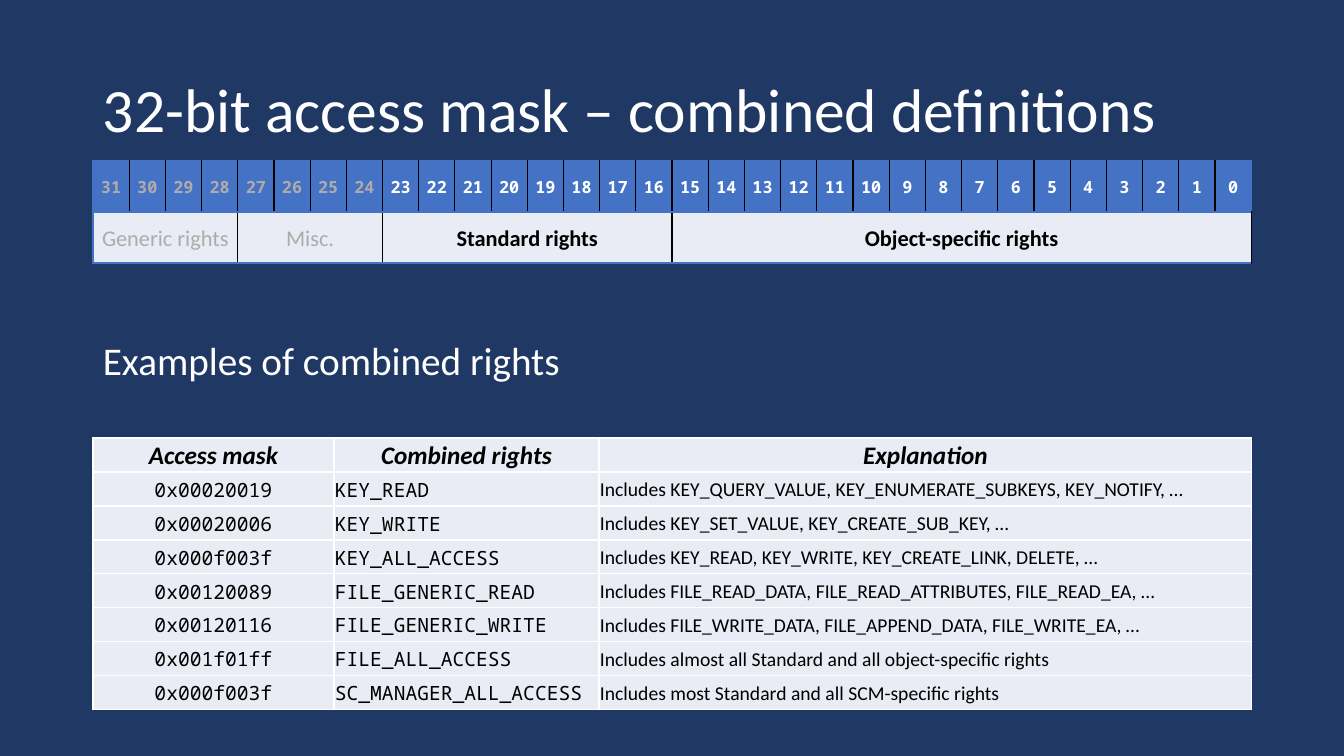
from dataclasses import dataclass
from lxml.etree import SubElement as Sub
from pptx import Presentation
from pptx.dml.color import RGBColor as Rgb
from pptx.enum.text import MSO_ANCHOR as Anchor, PP_ALIGN as Align
from pptx.oxml.ns import qn
from pptx.util import Pt

TITLE = "32-bit access mask – combined definitions"
LEAD = "Examples of combined rights"
BITS = 32
DIM_BITS = 8
GROUPS = [
    ("Generic rights", 4),
    ("Misc.", 4),
    ("Standard rights", 8),
    ("Object-specific rights", 16),
]
HEADS = ("Access mask", "Combined rights", "Explanation")
RIGHTS = [
    ("0x00020019", "KEY_READ", "Includes KEY_QUERY_VALUE, KEY_ENUMERATE_SUBKEYS, KEY_NOTIFY, …"),
    ("0x00020006", "KEY_WRITE", "Includes KEY_SET_VALUE, KEY_CREATE_SUB_KEY, …"),
    ("0x000f003f", "KEY_ALL_ACCESS", "Includes KEY_READ, KEY_WRITE, KEY_CREATE_LINK, DELETE, …"),
    ("0x00120089", "FILE_GENERIC_READ", "Includes FILE_READ_DATA, FILE_READ_ATTRIBUTES, FILE_READ_EA, …"),
    ("0x00120116", "FILE_GENERIC_WRITE", "Includes FILE_WRITE_DATA, FILE_APPEND_DATA, FILE_WRITE_EA, …"),
    ("0x001f01ff", "FILE_ALL_ACCESS", "Includes almost all Standard and all object-specific rights"),
    ("0x000f003f", "SC_MANAGER_ALL_ACCESS", "Includes most Standard and all SCM-specific rights"),
]


@dataclass(frozen=True)
class Theme:
    back: str = "203864"
    white: str = "FFFFFF"
    black: str = "000000"
    blue: str = "4472C4"
    pale: str = "E9EBF5"
    dim: str = "AFABAB"
    sans: str = "Calibri"
    mono: str = "Noto Sans Mono"
    title: int = 44
    lead: int = 28
    head: int = 18
    group: int = 16
    body: int = 14
    bit: int = 12


T = Theme()
WIDE, HIGH = 1344, 756
SCALE = 12192000 / WIDE
LEFT, SPAN = 93, 1159
BIT_TOP, BIT_ROW = 161, 51
MASK_TOP, MASK_ROW = 438, 34
MASK_COLS = (241, 265, 653)


def emu(px):
    return round(px * SCALE)


def put(frame, text, size, color, font=T.sans, bold=False, italic=False,
        align=Align.LEFT, line=1.0):
    para = frame.paragraphs[0]
    para.alignment = align
    para.line_spacing = line
    run = para.add_run()
    run.text = text
    face = run.font
    face.size, face.name, face.bold, face.italic = Pt(size), font, bold, italic
    face.color.rgb = Rgb.from_string(color)


def label(slide, text, top, height, size, anchor):
    box = slide.shapes.add_textbox(emu(LEFT), emu(top), emu(SPAN), emu(height))
    frame = box.text_frame
    frame.word_wrap = True
    frame.vertical_anchor = anchor
    put(frame, text, size, T.white, line=0.9)


def grid(slide, top, row, rows, cols):
    shape = slide.shapes.add_table(
        rows, len(cols), emu(LEFT), emu(top), emu(sum(cols)), emu(row * rows))
    table = shape.table
    table.first_row = table.horz_banding = False
    for col, width in zip(table.columns, cols):
        col.width = emu(width)
    for line in table.rows:
        line.height = emu(row)
    return table


def dress(cell, fill, edges, side, foot=0):
    cell.vertical_anchor = Anchor.MIDDLE
    cell.margin_left = cell.margin_right = emu(side)
    cell.margin_top, cell.margin_bottom = emu(foot), 0
    props = cell._tc.get_or_add_tcPr()
    for edge, color in zip("LRTB", edges):
        line = Sub(props, qn(f"a:ln{edge}"), w=str(Pt(1)))
        paint = Sub(line, qn("a:solidFill"))
        Sub(paint, qn("a:srgbClr"), val=color)
    cell.fill.solid()
    cell.fill.fore_color.rgb = Rgb.from_string(fill)


def draw_bits(slide):
    table = grid(slide, BIT_TOP, BIT_ROW, 2, [SPAN / BITS] * BITS)
    for col in range(BITS):
        left = T.blue if col == 0 else T.black
        right = T.blue if col == BITS - 1 else T.black
        for row, fill in enumerate((T.blue, T.pale)):
            dress(table.cell(row, col), fill, (left, right, T.blue, T.blue), 7)
        color = T.dim if col < DIM_BITS else T.white
        put(table.cell(0, col).text_frame, str(BITS - 1 - col), T.bit, color,
            font=T.mono, bold=True, align=Align.CENTER, line=1.07)
    start = 0
    for name, count in GROUPS:
        cell = table.cell(1, start)
        cell.merge(table.cell(1, start + count - 1))
        live = start >= DIM_BITS
        put(cell.text_frame, name, T.group, T.black if live else T.dim,
            bold=live, align=Align.CENTER, line=1.07)
        start += count


def draw_masks(slide):
    table = grid(slide, MASK_TOP, MASK_ROW, len(RIGHTS) + 1, MASK_COLS)
    for row, texts in enumerate([HEADS, *RIGHTS]):
        head = row == 0
        for col, text in enumerate(texts):
            cell = table.cell(row, col)
            dress(cell, T.pale, [T.white] * 4, 1, 1)
            put(cell.text_frame, text, T.head if head else T.body, T.black,
                font=T.sans if head or col == 2 else T.mono,
                bold=head, italic=head,
                align=Align.CENTER if head or col == 0 else Align.LEFT)


def main():
    deck = Presentation()
    deck.slide_width, deck.slide_height = emu(WIDE), emu(HIGH)
    slide = deck.slides.add_slide(deck.slide_layouts[6])
    slide.background.fill.solid()
    slide.background.fill.fore_color.rgb = Rgb.from_string(T.back)
    label(slide, TITLE, 40, 146, T.title, Anchor.MIDDLE)
    label(slide, LEAD, 337, 348, T.lead, Anchor.TOP)
    draw_masks(slide)
    draw_bits(slide)
    deck.save("out.pptx")


if __name__ == "__main__":
    main()
